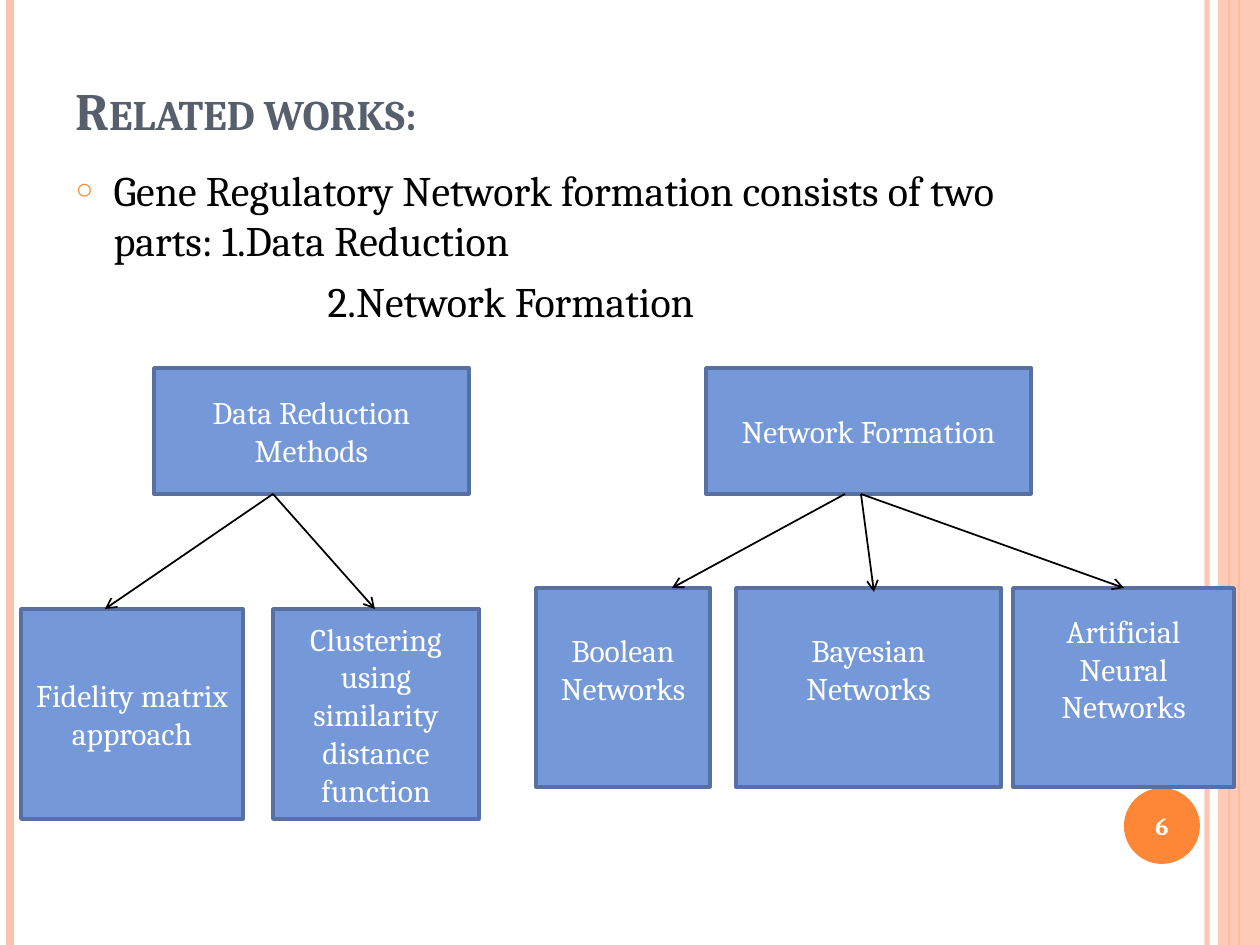
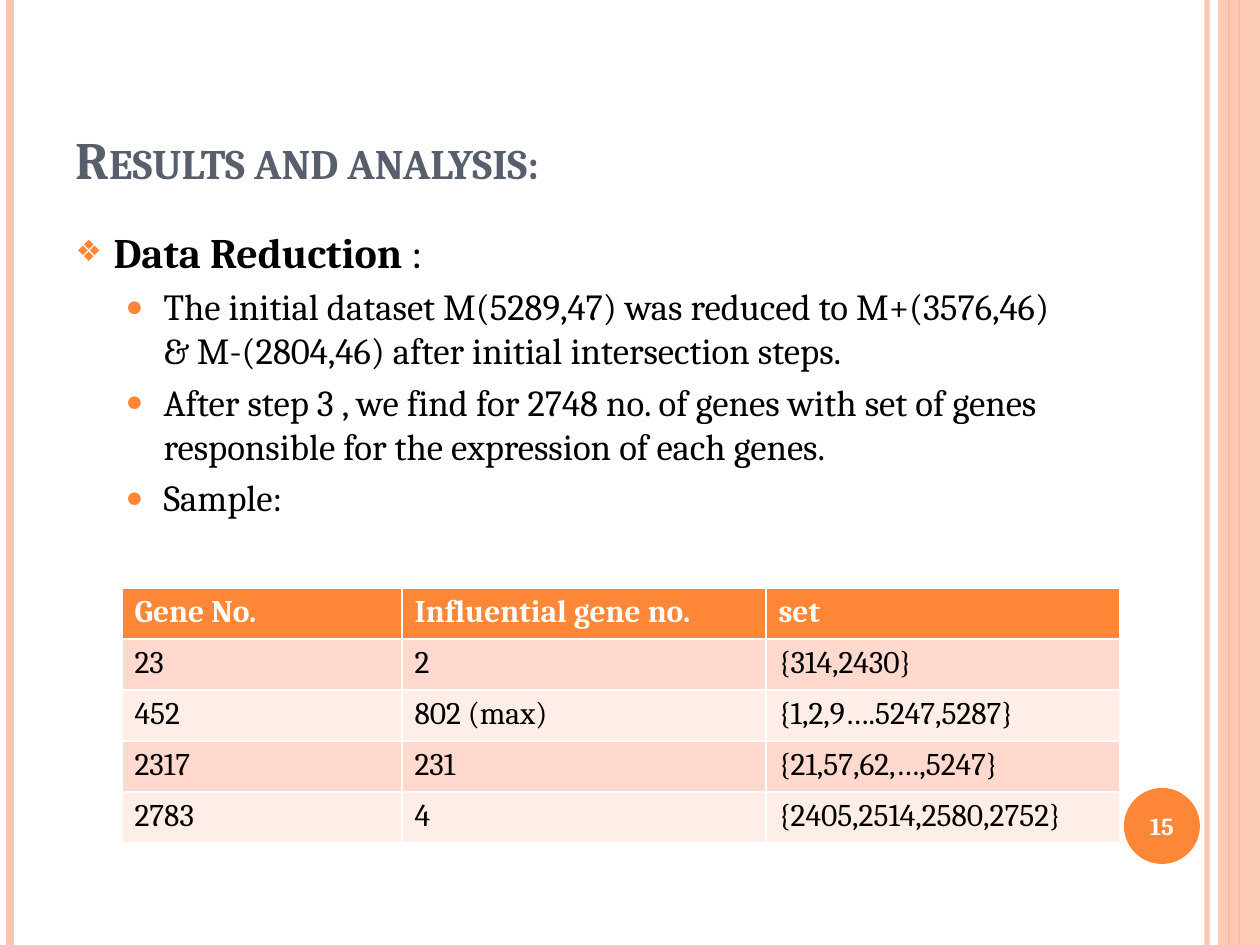
from pptx import Presentation
from pptx import util as u
from pptx.dml.color import RGBColor
from pptx.enum import shapes, text
from pptx.oxml.ns import qn
from lxml import etree

FONT = "Cambria"
ORANGE, PEACH, SLATE = "FE8637", "FEC3AE", "575F6D"
BLUE, NAVY, BLACK, WHITE = "7598D9", "5770A1", "000000", "FFFFFF"
WIDE, HIGH = 1260, 945

# x, colour, points, opacity in percent
RULES = [(1207, PEACH, 3, 93), (10, PEACH, 4.5, 100),
         (1239, ORANGE, 1.5, 100), (1229, ORANGE, 0.75, 100)]
BAND = (1218, 0, 42, HIGH)
DISC = (1124, 788, 76, 76)

# level: text size, left indent, space before, bullet size in percent
LEVELS = [(24, 38, 6, 70), (21, 88, 4.2, 80)]
HANG = 38

WORKS = {
    "title": "Related works:", "number": 6, "title_h": 109,
    "body_top": 158, "body_h": 735,
    "items": [
        (0, "○", ["Gene Regulatory Network formation consists of two parts: "
                  "1.Data Reduction"]),
        (0, None, ["2.Network Formation"]),
    ],
}
RESULTS = {
    "title": "Results and analysis:", "number": 15, "title_h": 158,
    "body_top": 220, "body_h": 672,
    "items": [
        (0, "❖", ["Data Reduction ", ":"]),
        (1, "●", ["The initial dataset M(5289,47) was reduced to M+(3576,46) "
                  "& M-(2804,46) after initial intersection steps."]),
        (1, "●", ["After step 3 , we find for 2748 no. of genes with set of "
                  "genes responsible for the expression of each genes."]),
        (1, "●", ["Sample:"]),
    ],
}

ROOT_Y, ROOT_H = 368, 126
# root: label, x, width; leaves: top, height, space kept free under the text,
# then label, x, width and the start and end of the arrow to each leaf
TREES = [
    (("Data Reduction Methods", 154, 315), 609, 210, 0, [
        ("Fidelity matrix approach", 21, 222, 273, (105, 609)),
        ("Clustering using similarity distance function", 273, 206,
         273, (375, 609))]),
    (("Network Formation", 706, 325), 588, 199, 38, [
        ("Boolean Networks", 536, 174, 845, (672, 588)),
        ("Bayesian Networks", 736, 265, 861, (874, 592)),
        ("Artificial Neural Networks", 1013, 221, 861, (1124, 588))]),
]

GENES = [
    ("Gene No.", "Influential gene no.", "set"),
    ("23", "2", "{314,2430}"),
    ("452", "802 (max)", "{1,2,9….5247,5287}"),
    ("2317", "231", "{21,57,62,…,5247}"),
    ("2783", "4", "{2405,2514,2580,2752}"),
]
GRID_X, GRID_Y, ROW_H = 122, 588, 51
COLS = (280, 364, 354)
STRIPES = ("FFEDE8", "FFD9CE")


def px(*nums):
    vals = [u.Emu(round(n * 914400 / 126)) for n in nums]
    return vals if len(vals) > 1 else vals[0]


def rgb(code):
    return RGBColor.from_string(code)


def sub(node, tag, **attrs):
    return etree.SubElement(node, qn(tag), attrs)


def style(font, size, color, bold=False):
    font.name, font.size, font.bold = FONT, u.Pt(size), bold
    font.color.rgb = rgb(color)


def fade(node, cent):
    """Make the colour inside node partly transparent."""
    sub(node.find(".//" + qn("a:srgbClr")), "a:alpha", val=str(cent * 1000))


def line(slide, start, end, color, width, cent=100, arrow=False):
    link = slide.shapes.add_connector(
        shapes.MSO_CONNECTOR.STRAIGHT, *px(*start, *end))
    link.line.color.rgb, link.line.width = rgb(color), u.Pt(width)
    props = link._element.spPr
    if cent < 100:
        fade(props, cent)
    if arrow:
        sub(props.find(qn("a:ln")), "a:tailEnd", type="arrow")
    sub(props, "a:effectLst")


def shape(slide, kind, box, fill, edge=None):
    item = slide.shapes.add_shape(kind, *px(*box))
    item.shadow.inherit = False
    item.fill.solid()
    item.fill.fore_color.rgb = rgb(fill)
    if edge:
        item.line.color.rgb, item.line.width = rgb(edge), u.Pt(2)
    else:
        item.line.fill.background()
    return item


def label(item, words, size, bold=False):
    frame = item.text_frame
    frame.word_wrap = True
    frame.vertical_anchor = text.MSO_ANCHOR.MIDDLE
    para = frame.paragraphs[0]
    para.text, para.alignment = words, text.PP_ALIGN.CENTER
    style(para.font, size, WHITE, bold)
    return frame


def node(slide, words, box, free=0):
    rect = shape(slide, shapes.MSO_SHAPE.RECTANGLE, box, BLUE, NAVY)
    label(rect, words, 18).margin_bottom = px(6 + free)


def indent(para, left, hang, mark, cent):
    props = para._p.get_or_add_pPr()
    props.set("marL", str(px(left)))
    props.set("indent", str(-px(hang)))
    if mark:
        sub(sub(props, "a:buClr"), "a:srgbClr", val=ORANGE)
        sub(props, "a:buSzPct", val=str(cent * 1000))
        sub(props, "a:buChar", char=mark)
    else:
        sub(props, "a:buNone")


def place(item, top, height):
    item.left, item.top, item.width, item.height = px(63, top, 1029, height)
    item.text_frame.auto_size = text.MSO_AUTO_SIZE.NONE
    return item.text_frame


def head(slide, words, height):
    frame = place(slide.shapes.title, 38, height)
    frame.vertical_anchor = text.MSO_ANCHOR.BOTTOM
    para = frame.paragraphs[0]
    para.text, para.alignment = words, text.PP_ALIGN.LEFT
    style(para.font, 30, SLATE, True)
    para.runs[0]._r.get_or_add_rPr().set("cap", "small")


def body(slide, items, top, height):
    frame = place(slide.placeholders[1], top, height)
    for i, (level, mark, parts) in enumerate(items):
        para = frame.add_paragraph() if i else frame.paragraphs[0]
        size, left, gap, cent = LEVELS[level]
        para.level, para.space_before = level, u.Pt(gap)
        if mark:
            indent(para, left, HANG, mark, cent)
        else:
            indent(para, 252, 0, None, cent)
        style(para.font, size, BLACK)
        for part in parts:
            para.add_run().text = part
        if len(parts) > 1:
            para.runs[0].font.bold = True


def base(deck, data):
    """Add a slide with its frame, title, list and number."""
    slide = deck.slides.add_slide(deck.slide_layouts[1])
    for x, color, width, cent in RULES:
        line(slide, (x, 0), (x, HIGH), color, width, cent)
    band = shape(slide, shapes.MSO_SHAPE.RECTANGLE, BAND, PEACH)
    fade(band._element.spPr, 87)
    disc = shape(slide, shapes.MSO_SHAPE.OVAL, DISC, ORANGE)
    frame = label(disc, str(data["number"]), 14, True)
    frame.margin_left = frame.margin_right = 0
    head(slide, data["title"], data["title_h"])
    body(slide, data["items"], data["body_top"], data["body_h"])
    return slide


def tree(slide, root, top, height, free, leaves):
    words, x, width = root
    node(slide, words, (x, ROOT_Y, width, ROOT_H))
    for words, x, width, start, end in leaves:
        node(slide, words, (x, top, width, height), free)
    for *_, start, end in leaves:
        line(slide, (start, ROOT_Y + ROOT_H), end, BLACK, 1, arrow=True)


def grid(slide):
    box = px(GRID_X, GRID_Y, sum(COLS), ROW_H * len(GENES))
    table = slide.shapes.add_table(len(GENES), len(COLS), *box).table
    for col, width in zip(table.columns, COLS):
        col.width = px(width)
    for r, row in enumerate(GENES):
        for c, words in enumerate(row):
            cell = table.cell(r, c)
            cell.fill.solid()
            cell.fill.fore_color.rgb = rgb(STRIPES[r % 2] if r else ORANGE)
            para = cell.text_frame.paragraphs[0]
            para.text = words
            style(para.font, 18, BLACK if r else WHITE, r == 0)


def main():
    deck = Presentation()
    deck.slide_width, deck.slide_height = px(WIDE, HIGH)
    works = base(deck, WORKS)
    for part in TREES:
        tree(works, *part)
    grid(base(deck, RESULTS))
    deck.save("out.pptx")


if __name__ == "__main__":
    main()
